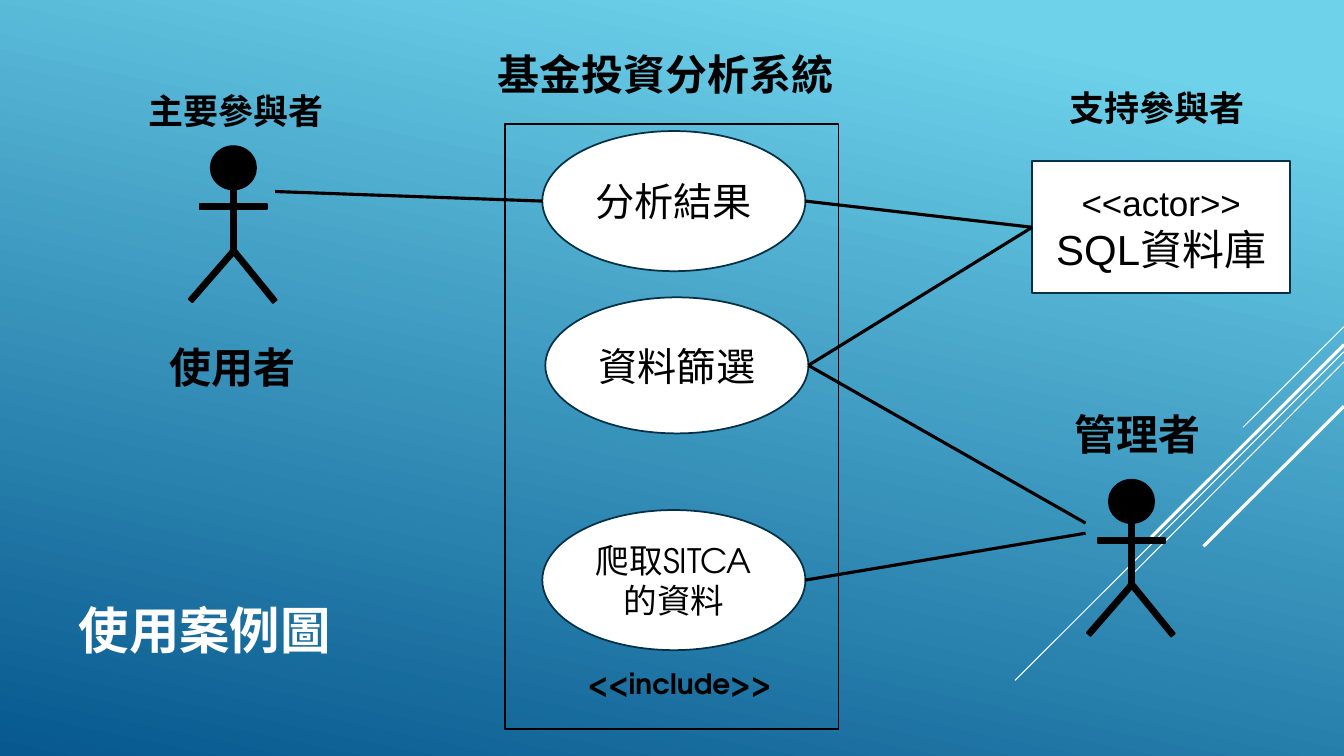
from lxml import etree
from pptx import Presentation
from pptx.dml.color import RGBColor
from pptx.enum.shapes import MSO_CONNECTOR, MSO_SHAPE
from pptx.enum.text import MSO_ANCHOR, PP_ALIGN
from pptx.oxml.ns import qn
from pptx.util import Inches, Pt

STRAIGHT = MSO_CONNECTOR.STRAIGHT
ELLIPSE, RECTANGLE = MSO_SHAPE.OVAL, MSO_SHAPE.RECTANGLE
PROCESS = MSO_SHAPE.FLOWCHART_PROCESS
LEFT, CENTER = PP_ALIGN.LEFT, PP_ALIGN.CENTER
TOP, MIDDLE = MSO_ANCHOR.TOP, MSO_ANCHOR.MIDDLE
RECTANGLE_LEFT = 1

COLORS = {"sky": "6ED2EB", "deep": "06588E", "white": "FFFFFF",
          "black": "000000", "outline": "043148"}
FONT = "TeX Gyre Adventor"
DATABASE_FONT = "Arial"

# Grid of square cells, ten to the inch
COLUMNS, ROWS = 133.33, 75
USE_CASE_WIDTH = 26.1
LIMB = (6.7, 0.5)

# Right end, left end and width of the diagonal stripes
STRIPES = [
    ((COLUMNS, 32.4), (123.3, 42.4), 0.75),
    ((COLUMNS, 34.9), (100.7, 67.5), 0.75),
    ((COLUMNS, 35.9), (112.6, 56.7), 0.75),
    ((COLUMNS, 34.2), (114.2, 53.3), 2.25),
    ((COLUMNS, 40.3), (119.4, 54.2), 2.25),
]
# Text, left, top, width, height, size
LABELS = [
    ("主要參與者", 13.8, 8.4, 20, 5.2, 25),
    ("支持參與者", 105.1, 8.1, 20, 5.2, 25),
    ("使用者", 15.8, 33.4, 16, 6.1, 30),
    ("管理者", 105.6, 40, 16, 6.1, 30),
    ("基金投資分析系統", 48.4, 4.3, 37.1, 6.1, 30),
    ("<<include>>", 57.3, 65.6, 28.2, 4.4, 20),
]
# Text, left, top, height, size
USE_CASES = [
    ("分析結果", 53.8, 13, 13.9, 28),
    ("資料篩選", 54.1, 29.5, 13.5, 28),
    ("爬取SITCA的資料", 53.8, 50.6, 13.9, 24),
]
# Left, top of the head, and the offset of each limb with its rotation
ACTORS = [(20.9, 14.5), (110, 47.6)]
LIMBS = [(-1.1, 5.75, 0), (-1.1, 7.15, 270), (-3.15, 12.55, 311), (0.9, 12.55, 50.9)]


def cells(*lengths):
    return [Inches(length / 10) for length in lengths]


def color(name):
    return RGBColor.from_string(COLORS[name])


def write_text(shape, *lines, font=FONT, tint="black", bold=False,
               align=LEFT, anchor=TOP):
    """Fill a shape with one paragraph for each (text, size) pair."""
    frame = shape.text_frame
    frame.word_wrap = True
    frame.vertical_anchor = anchor
    for index, (text, size) in enumerate(lines):
        paragraph = frame.add_paragraph() if index else frame.paragraphs[0]
        paragraph.alignment = align
        run = paragraph.add_run()
        run.text = text
        run.font.name = font
        run.font.size = Pt(size)
        run.font.bold = bold
        run.font.color.rgb = color(tint)


def add_figure(shapes, kind, box, fill=None, line="black", rotation=0):
    shape = shapes.add_shape(kind, *cells(*box))
    shape.shadow.inherit = False
    if fill:
        shape.fill.solid()
        shape.fill.fore_color.rgb = color(fill)
    else:
        shape.fill.background()
    shape.line.color.rgb = color(line)
    shape.line.width = Pt(1.25)
    shape.rotation = rotation
    return shape


def add_line(shapes, start, end, tint="black", width=2.25):
    connector = shapes.add_connector(STRAIGHT, *cells(*start, *end))
    connector.line.color.rgb = color(tint)
    connector.line.width = Pt(width)
    properties = connector._element.spPr
    etree.SubElement(properties, qn("a:effectLst"))
    return connector


def add_label(shapes, text, left, top, width, height, size):
    box = shapes.add_textbox(*cells(left, top, width, height))
    write_text(box, (text, size), bold=True)


def add_use_case(shapes, text, left, top, height, size):
    """Draw the ellipse and return the middle of its right side."""
    box = (left, top, USE_CASE_WIDTH, height)
    ellipse = add_figure(shapes, ELLIPSE, box, "white", "outline")
    write_text(ellipse, (text, size), align=CENTER, anchor=MIDDLE)
    return left + USE_CASE_WIDTH, top + height / 2


def add_actor(shapes, left, top):
    """Draw a stick figure from the top left corner of its head."""
    parts = shapes.add_group_shape().shapes
    add_figure(parts, ELLIPSE, (left, top, 4.5, 4.3), "black")
    for across, down, rotation in LIMBS:
        add_figure(parts, PROCESS, (left + across, top + down, *LIMB), "black",
                   rotation=rotation)


def paint_background(slide):
    fill = slide.background.fill
    fill.gradient()
    fill.gradient_angle = 258
    for stop, tint, position in zip(fill.gradient_stops, ("sky", "deep"), (0.1, 1)):
        stop.color.rgb = color(tint)
        stop.position = position


def main():
    presentation = Presentation()
    presentation.slide_width, presentation.slide_height = cells(COLUMNS, ROWS)
    slide = presentation.slides.add_slide(presentation.slide_layouts[5])
    shapes = slide.shapes
    paint_background(slide)

    for start, end, width in STRIPES:
        add_line(shapes, start, end, "white", width)

    title = shapes.title
    title.left, title.top, title.width, title.height = cells(6.8, 54.2, 93.3, 16.5)
    write_text(title, ("使用案例圖", 36), tint="white", bold=True, anchor=MIDDLE)

    add_figure(shapes, RECTANGLE, (50.1, 12.3, 33.1, 60))
    for label in LABELS:
        add_label(shapes, *label)
    results, screening, crawling = [add_use_case(shapes, *case) for case in USE_CASES]

    database = add_figure(shapes, RECTANGLE, (102.4, 16, 25.6, 13.1),
                          "white", "outline")
    write_text(database, ("<<actor>>", 25), ("SQL資料庫", 30), font=DATABASE_FONT,
               align=CENTER, anchor=MIDDLE)

    for actor in ACTORS:
        add_actor(shapes, *actor)

    add_line(shapes, (27.3, 19), (results[0] - USE_CASE_WIDTH, results[1]))
    for side in (results, screening):
        link = add_line(shapes, side, (102.4, 22.55))
        link.end_connect(database, RECTANGLE_LEFT)
    add_line(shapes, screening, (107.7, 51.9))
    add_line(shapes, crawling, (107.7, 52.9))

    presentation.save("out.pptx")


if __name__ == "__main__":
    main()
